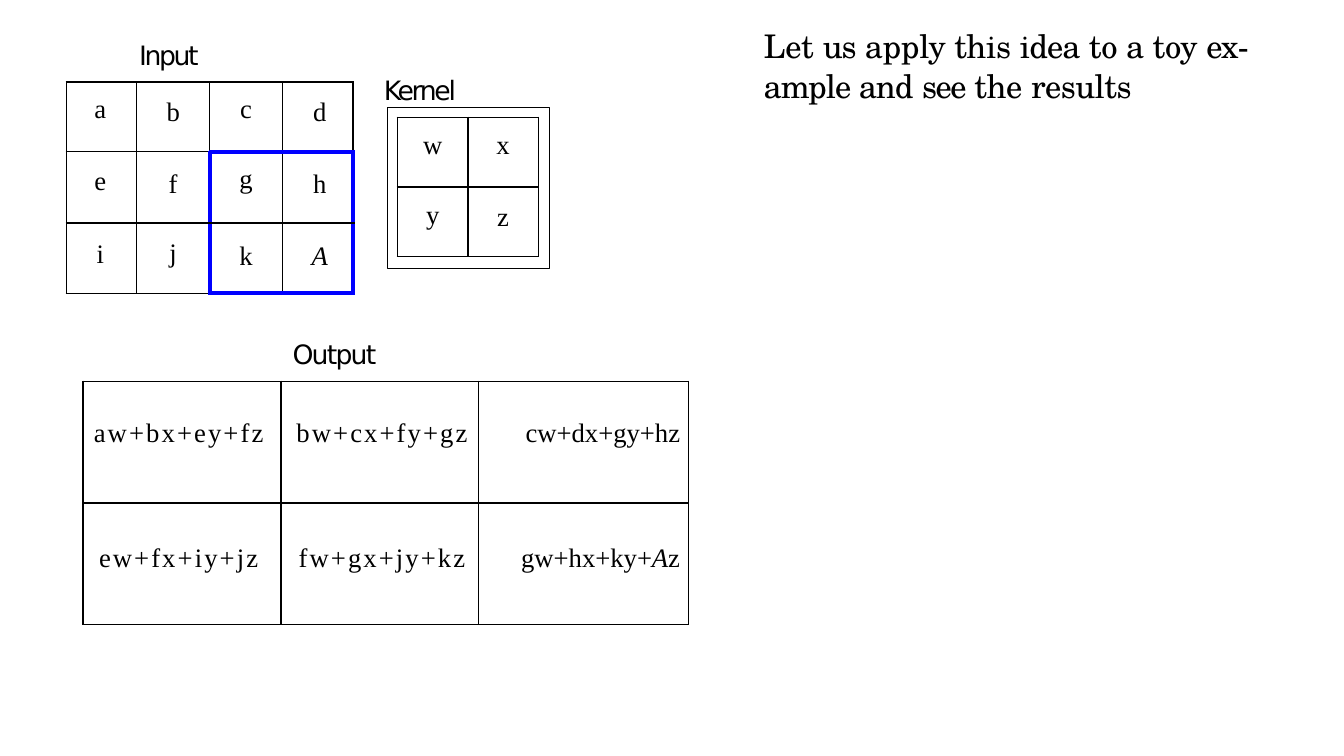
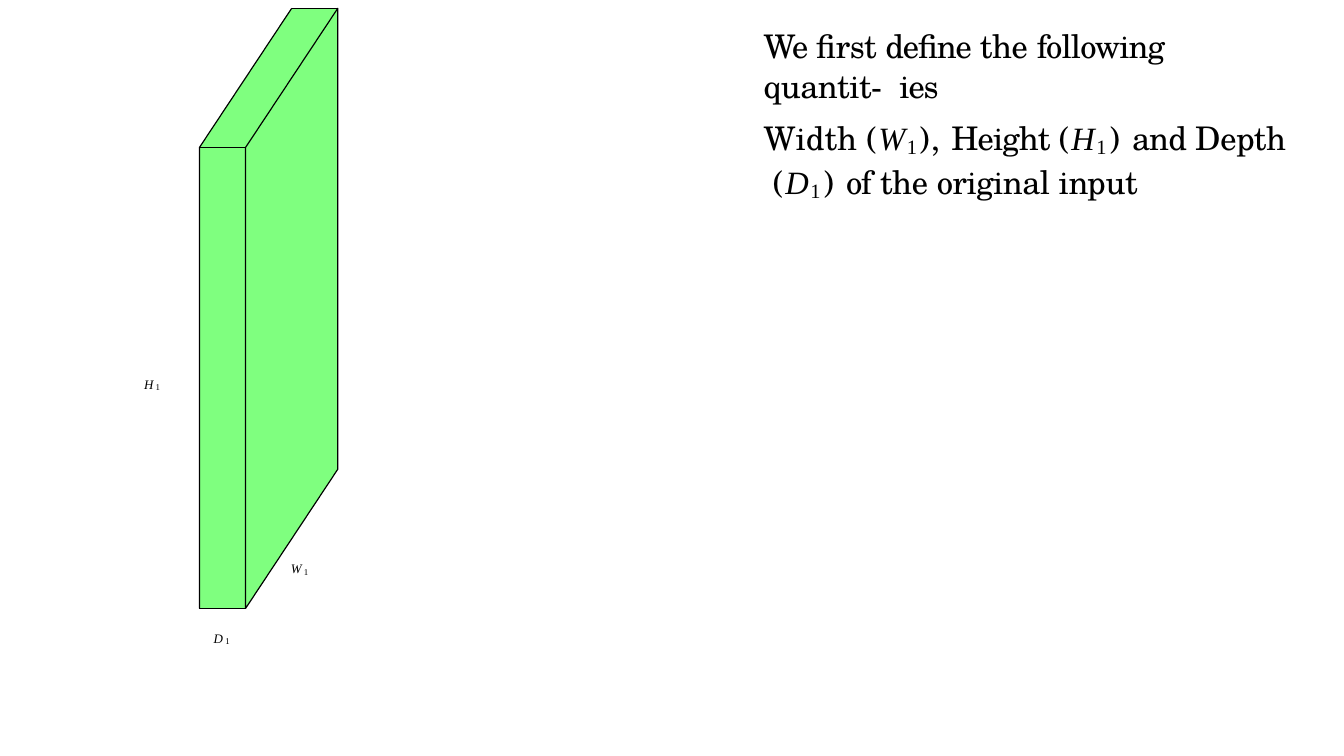
from pptx import Presentation
from pptx.dml.color import RGBColor
from pptx.enum.shapes import MSO_SHAPE as Kind
from pptx.enum.text import PP_ALIGN as Align
from pptx.oxml import parse_xml
from pptx.oxml.ns import nsdecls
from pptx.util import Cm, Pt

# Shared look
color = RGBColor.from_string
BLACK, BLUE, GREEN = "000000", "0000FF", "7FFF7F"
SERIF = "Times New Roman"
STYLES = {
    "head": {"size": Pt(11), "name": "TeX Gyre Schola"},
    "math": {"size": Pt(11), "name": SERIF, "italic": True},
    "sub": {"size": Pt(12), "name": SERIF},
    "label": {"size": Pt(9), "name": "DejaVu Sans"},
    "cell": {"size": Pt(9), "name": SERIF},
    "var": {"size": Pt(9), "name": SERIF, "italic": True},
    "dim": {"size": Pt(7.5), "name": SERIF, "italic": True},
    "index": {"size": Pt(3), "name": SERIF},
}
RAISE = {"sub": -10, "dim": 6}  # percent


def write(para, runs):
    """Add runs given as (text, style, letter spacing in points)."""
    for text, style, gap in runs:
        run = para.add_run()
        run.text = text
        for key, val in STYLES[style].items():
            setattr(run.font, key, val)
        run.font.color.rgb = color(BLACK)
        props = run._r.get_or_add_rPr()
        props.set("spc", str(round(gap * 100)))
        if style in RAISE:
            props.set("baseline", str(RAISE[style] * 1000))


def place(slide, left, top, width, height, runs, space=1.0, hang=0):
    """Add a text box, measured in centimetres, with a hanging indent."""
    box = slide.shapes.add_textbox(Cm(left), Cm(top), Cm(width), Cm(height))
    frame = box.text_frame
    form = {"word_wrap": True, "margin_left": Cm(0.03), "margin_top": Cm(0.03),
            "margin_right": 0, "margin_bottom": 0}
    for key, val in form.items():
        setattr(frame, key, val)
    para = frame.paragraphs[0]
    para.line_spacing = space
    if hang:
        props = para._p.get_or_add_pPr()
        props.set("marL", str(Cm(hang)))
        props.set("indent", str(-Cm(hang)))
    write(para, runs)


deck = Presentation()
deck.slide_width, deck.slide_height = Cm(16.03), Cm(9.02)
toy, sizes = [deck.slides.add_slide(deck.slide_layouts[6]) for _ in range(2)]

# Text at the right of both slides
heads = [
    (toy, 0.27, 1.5, 0,
     [("Let ", 0), ("us ", -0.4), ("apply this ", -0.1), ("idea ", -0.3),
      ("to a toy ", -0.1), ("ex- ample and ", -0.3), ("see ", -0.5),
      ("the ", -0.1), ("results", -0.2)]),
    (sizes, 0.27, 1.5, 0,
     [("We ", -0.5), ("first ", -0.2), ("define ", -0.4), ("the ", -0.1),
      ("following ", -0.3), ("quantit-", -0.2), (" ", 2.8), ("ies", -0.4)]),
    (sizes, 1.33, 1.02, 0.11,
     [("Width ", 0), ("(", 0.4), ("W", 0.4, "math"), ("1", 0.6, "sub"),
      ("), ", 0.4), ("Height ", -0.3), ("(", 0.5), ("H", 0.5, "math"),
      ("1", 0.8, "sub"), (") ", 0.5), ("and ", -0.3), ("Depth ", -0.1),
      ("(", 0.5), ("D", 0.5, "math"), ("1", 0.8, "sub"), (") ", 0.5),
      ("of ", -0.4), ("the ", -0.1), ("original ", -0.2), ("input", -0.1)]),
]
for slide, top, height, hang, parts in heads:
    runs = [(text, style[0] if style else "head", gap) for text, gap, *style in parts]
    place(slide, 9.08, top, 6.3, height, runs, 1.03, hang)

# Slide 1: labels and kernel frame
for text, left, top, width, gap in [("Input", 1.63, 0.43, 0.8, -0.8),
                                    ("Kernel", 4.55, 0.85, 0.95, -0.8),
                                    ("Output", 3.46, 4, 1.05, -0.6)]:
    place(toy, left, top, width, 0.46, [(text, "label", gap)])

rim = toy.shapes.add_shape(Kind.RECTANGLE, Cm(4.62), Cm(1.28), Cm(1.94), Cm(1.93))
rim.shadow.inherit = False
rim.fill.background()
rim.line.color.rgb = color(BLACK)
rim.line.width = Pt(0.4)

# Slide 1: tables, with the top margin of each cell in centimetres
even = (Align.CENTER, 0, 0)
grids = [
    {"at": (0.79, 0.98), "cols": [0.84, 0.87, 0.87, 0.84], "rows": [0.83, 0.85, 0.84],
     "text": ["abcd", "efgh", "ijkA"], "gap": 0,
     "form": [(Align.CENTER, 0, 0.03), even, even, (Align.CENTER, 0.05, 0)],
     "tops": [[0.15, 0.19, 0.15, 0.19], [0.18, 0.22, 0.15, 0.22], [0.2, 0.19, 0.22, 0.22]],
     "mark": {(1, 2), (1, 3), (2, 2), (2, 3)}},
    {"at": (4.74, 1.4), "cols": [0.84] * 2, "rows": [0.83] * 2,
     "text": ["wx", "yz"], "gap": 0, "form": [even] * 2,
     "tops": [[0.16, 0.16], [0.16, 0.19]], "mark": set()},
    {"at": (0.99, 4.55), "cols": [2.36, 2.36, 2.5], "rows": [1.45] * 2,
     "text": [["aw+bx+ey+fz", "bw+cx+fy+gz", "cw+dx+gy+hz"],
              ["ew+fx+iy+jz", "fw+gx+jy+kz", "gw+hx+ky+Az"]], "gap": 0.7,
     "form": [(Align.CENTER, 0, 0.08), (Align.CENTER, 0.05, 0), (Align.RIGHT, 0, 0.1)],
     "tops": [[0.45] * 3, [0.49] * 3], "mark": set()},
]
SIDES = {"L": (0, -1), "R": (0, 1), "T": (-1, 0), "B": (1, 0)}
for grid in grids:
    cols, rows, mark = grid["cols"], grid["rows"], grid["mark"]
    table = toy.shapes.add_table(len(rows), len(cols), *map(Cm, grid["at"]),
                                 Cm(sum(cols)), Cm(sum(rows))).table
    table.first_row = table.horz_banding = False
    for col, width in zip(table.columns, cols):
        col.width = Cm(width)
    for r, height in enumerate(rows):
        table.rows[r].height = Cm(height)
        for c, text in enumerate(grid["text"][r]):
            cell = table.cell(r, c)
            align, left, right = grid["form"][c]
            form = {"margin_left": Cm(left), "margin_right": Cm(right),
                    "margin_top": Cm(grid["tops"][r][c]), "margin_bottom": 0}
            for key, val in form.items():
                setattr(cell, key, val)

            # A border is blue where it parts marked from unmarked cells
            props = cell._tc.get_or_add_tcPr()
            for side, (down, over) in SIDES.items():
                edge = ((r, c) in mark) != ((r + down, c + over) in mark)
                tint, wide = (BLUE, 1.5) if edge else (BLACK, 0.5)
                props.append(parse_xml(
                    f'<a:ln{side} {nsdecls("a")} w="{Pt(wide)}"><a:solidFill>'
                    f'<a:srgbClr val="{tint}"/></a:solidFill></a:ln{side}>'))
            cell.fill.background()

            para = cell.text_frame.paragraphs[0]
            para.alignment = align
            gap = 0 if align == Align.RIGHT else grid["gap"]
            head, var, tail = text.partition("A")
            parts = [(head, "cell", gap), (var, "var", gap), (tail, "cell", gap)]
            write(para, [part for part in parts if part[0]])

# Slide 2: box seen at an angle, a green body under its edges
x, y, width, height = 2.38, 1.76, 0.55, 5.5
over, rise = 1.1, 1.66
right, base = x + width, y + height
back, far, top = x + over, right + over, y - rise
body = [(far, top), (back, top), (x, y), (x, base), (right, base), (far, base - rise)]
edges = [
    [(x, base), (x, y), (back, top)],
    [(x, base), (right, base)],
    [(x, y), (right, y)],
    [(back, top), (far, top)],
    [(right, base), (right, y), (far, top), (far, base - rise)],
]
for dots in [body, *edges]:
    first, *rest = [(Cm(a), Cm(b)) for a, b in dots]
    pen = sizes.shapes.build_freeform(*first)
    pen.add_line_segments(rest, close=len(dots) > 3)
    part = pen.convert_to_shape()
    part.shadow.inherit = False
    if dots is body:
        part.fill.solid()
        part.fill.fore_color.rgb = color(GREEN)
        part.line.fill.background()
    else:
        part.fill.background()
        part.line.color.rgb = color(BLACK)
        part.line.width = Pt(0.4)

# Slide 2: names of the dimensions
for name, left, top in [("H", 1.69, 4.37), ("D", 2.52, 7.4), ("W", 3.44, 6.57)]:
    place(sizes, left, top, 0.4, 0.28, [(name, "dim", 0.8), ("1", "index", 0.5)])

deck.save("out.pptx")
